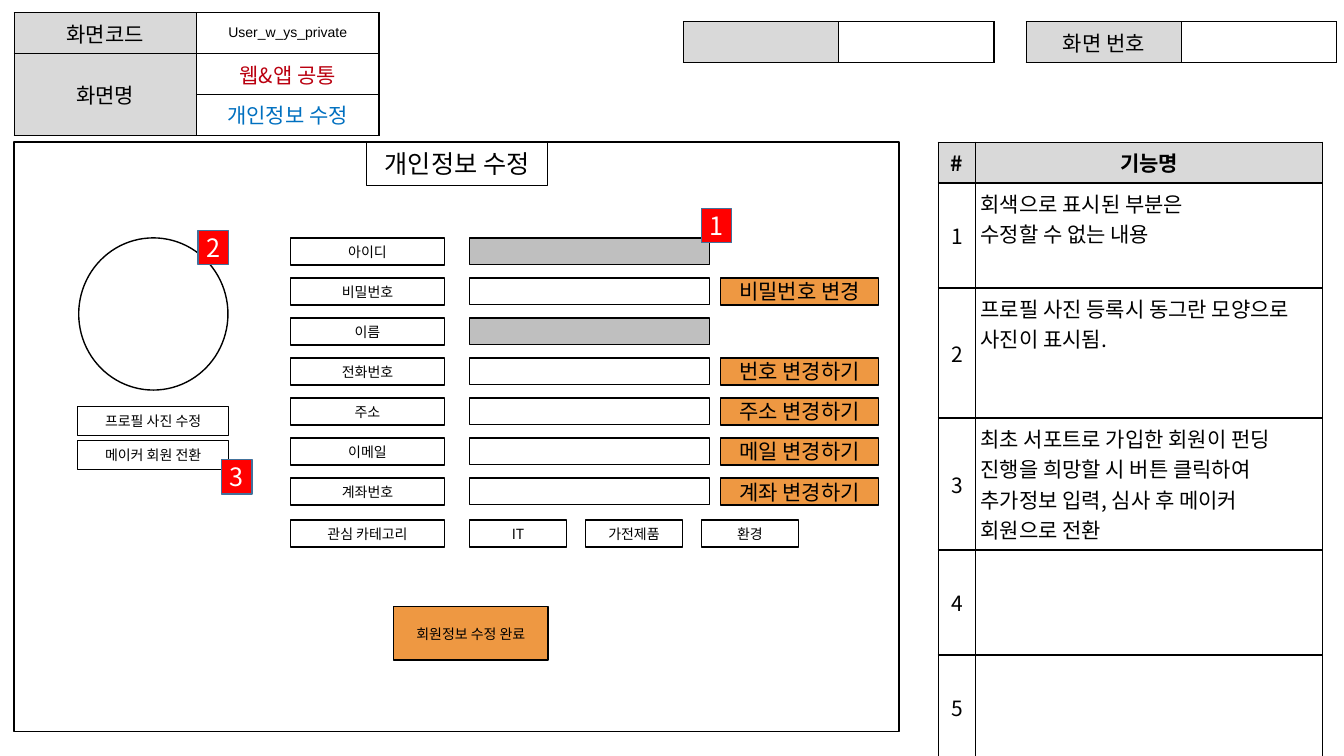
from dataclasses import dataclass

from lxml import etree
from pptx import Presentation
from pptx import util as u
from pptx.dml import color
from pptx.enum import shapes, text
from pptx.oxml import ns
from pptx.shapes import autoshape, base
from pptx.slide import Slide
from pptx.table import _Cell as Cell
from pptx.text import text as words


@dataclass(frozen=True)
class Theme:
    font: str = "Noto Sans CJK KR"
    code_font: str = "Arial"
    black: str = "000000"
    white: str = "FFFFFF"
    head: str = "D9D9D9"
    locked: str = "BFBFBF"
    action: str = "EE9842"
    badge: str = "FF0000"
    badge_line: str = "42719B"
    scope: str = "BA0010"
    screen: str = "0070C0"
    small: float = 10
    normal: float = 15
    large: float = 18
    inset: float = 3.6


THEME = Theme()


@dataclass(frozen=True)
class Box:
    left: float
    top: float
    width: float
    height: float
    label: str = ""
    fill: str | None = THEME.white
    size: float = THEME.small
    ink: str = THEME.black
    line: str = THEME.black
    line_width: float = 1
    kind: shapes.MSO_SHAPE = shapes.MSO_SHAPE.RECTANGLE


@dataclass(frozen=True)
class Entry:
    label: str = ""
    fill: str = THEME.white
    ink: str = THEME.black
    size: float = THEME.normal
    font: str = THEME.font
    bold: bool = False
    centred: bool = True
    inset: float = THEME.inset


@dataclass(frozen=True)
class Grid:
    left: float
    top: float
    widths: list[float]
    heights: list[float]
    rows: list[list[Entry]]


@dataclass(frozen=True)
class Field:
    label: str
    action: str = ""
    locked: bool = False


def write(frame: words.TextFrame, label: str, *, size: float, ink: str,
          font: str = THEME.font, bold: bool = False, centred: bool = True) -> None:
    frame.text = label
    for para in frame.paragraphs:
        para.alignment = text.PP_ALIGN.CENTER if centred else text.PP_ALIGN.LEFT
        for span in para.runs:
            span.font.name = font
            span.font.size = u.Pt(size)
            span.font.bold = bold
            span.font.color.rgb = color.RGBColor.from_string(ink)
            east = etree.SubElement(span.font._element, ns.qn("a:ea"))
            east.set("typeface", font)


def style_box(shape: autoshape.Shape, box: Box) -> None:
    shape.left, shape.top = u.Pt(box.left), u.Pt(box.top)
    shape.width, shape.height = u.Pt(box.width), u.Pt(box.height)
    shape.shadow.inherit = False
    if box.fill:
        shape.fill.solid()
        shape.fill.fore_color.rgb = color.RGBColor.from_string(box.fill)
    else:
        shape.fill.background()
    shape.line.color.rgb = color.RGBColor.from_string(box.line)
    shape.line.width = u.Pt(box.line_width)
    if box.label:
        frame = shape.text_frame
        frame.word_wrap = True
        frame.auto_size = text.MSO_AUTO_SIZE.NONE
        frame.vertical_anchor = text.MSO_ANCHOR.MIDDLE
        frame.margin_left = frame.margin_right = u.Pt(THEME.inset)
        frame.margin_top = frame.margin_bottom = u.Pt(0)
        write(frame, box.label, size=box.size, ink=box.ink)


def draw_box(page: Slide, box: Box) -> base.BaseShape:
    shape = page.shapes.add_shape(box.kind, u.Pt(box.left), u.Pt(box.top),
                                  u.Pt(box.width), u.Pt(box.height))
    style_box(shape, box)
    return shape


def border_cell(cell: Cell) -> None:
    properties = cell._tc.get_or_add_tcPr()
    for index, side in enumerate(("lnL", "lnR", "lnT", "lnB")):
        line = etree.Element(ns.qn(f"a:{side}"), w=str(u.Pt(1)))
        fill = etree.SubElement(line, ns.qn("a:solidFill"))
        etree.SubElement(fill, ns.qn("a:srgbClr"), val=THEME.black)
        properties.insert(index, line)


def fill_cell(cell: Cell, entry: Entry) -> None:
    inset = u.Pt(entry.inset if entry.label else 0)
    cell.margin_left = cell.margin_right = inset
    cell.margin_top = cell.margin_bottom = inset
    cell.vertical_anchor = (text.MSO_ANCHOR.MIDDLE if entry.centred
                            else text.MSO_ANCHOR.TOP)
    cell.fill.solid()
    cell.fill.fore_color.rgb = color.RGBColor.from_string(entry.fill)
    border_cell(cell)
    write(cell.text_frame, entry.label, size=entry.size, ink=entry.ink,
          font=entry.font, bold=entry.bold, centred=entry.centred)


def draw_grid(page: Slide, grid: Grid) -> base.BaseShape:
    holder = page.shapes.add_table(
        len(grid.heights), len(grid.widths), u.Pt(grid.left), u.Pt(grid.top),
        u.Pt(sum(grid.widths)), u.Pt(sum(grid.heights)))
    table = holder.table
    table.first_row = table.horz_banding = False
    for column, width in zip(table.columns, grid.widths):
        column.width = u.Pt(width)
    for row, height, entries in zip(table.rows, grid.heights, grid.rows):
        row.height = u.Pt(height)
        for cell, entry in zip(row.cells, entries):
            fill_cell(cell, entry)
    return holder


def draw_tables(page: Slide) -> None:
    # Screen code and name
    row = 29.2
    screen = draw_grid(page, Grid(10.1, 9, [130.3] * 2, [row] * 3, [
        [Entry("화면코드", THEME.head),
         Entry("User_w_ys_private", size=THEME.small, font=THEME.code_font, inset=0.7)],
        [Entry("화면명", THEME.head), Entry("웹&앱 공통", ink=THEME.scope)],
        [Entry(fill=THEME.head), Entry("개인정보 수정", ink=THEME.screen)]]))
    screen.table.cell(1, 0).merge(screen.table.cell(2, 0))

    # Page references
    for left, label in ((733, "화면 번호"), (488.2, "")):
        draw_grid(page, Grid(left, 15.5, [110.9] * 2, [row],
                             [[Entry(label, THEME.head), Entry()]]))

    # Function list
    notes = ["회색으로 표시된 부분은\n수정할 수 없는 내용",
             "프로필 사진 등록시 동그란 모양으로 사진이 표시됨.",
             "최초 서포트로 가입한 회원이 펀딩 진행을 희망할 시 버튼 클릭하여 "
             "추가정보 입력, 심사 후 메이커 회원으로 전환", "", ""]
    header = [Entry(label, THEME.head, bold=True) for label in ("#", "기능명")]
    rows = [[Entry(str(number)), Entry(note, centred=False)]
            for number, note in enumerate(notes, 1)]
    draw_grid(page, Grid(670.1, 101.5, [26.8, 248], [row, 75, 92.9, 94.3, 75, 75],
                         [header, *rows]))


def draw_form(page: Slide) -> None:
    # Screen frame and title
    panel = draw_box(page, Box(10.1, 101.5, 632.2, 421.2))
    title = page.shapes.title
    style_box(title, Box(262.1, 101.2, 128.9, 31, "개인정보 수정", None,
                         THEME.large, line_width=0.75))
    panel.element.addnext(title.element)

    # Profile
    draw_box(page, Box(56.2, 169.9, 106.6, 108.7, kind=shapes.MSO_SHAPE.OVAL))
    for top, label in ((290.2, "프로필 사진 수정"), (314.6, "메이커 회원 전환")):
        draw_box(page, Box(55.4, top, 108, 20.9, label, None, line_width=0.75))

    # Member fields
    label_left, value_left, height = 207.4, 335.5, 19.4
    fields = [Field("아이디", locked=True), Field("비밀번호", "비밀번호 변경"),
              Field("이름", locked=True), Field("전화번호", "번호 변경하기"),
              Field("주소", "주소 변경하기"), Field("이메일", "메일 변경하기"),
              Field("계좌번호", "계좌 변경하기")]
    for index, field in enumerate(fields):
        top = 169.9 + 28.6 * index
        draw_box(page, Box(label_left, top, 110.2, height, field.label))
        draw_box(page, Box(value_left, top, 171.4, 18.9,
                           fill=THEME.locked if field.locked else THEME.white))
        if field.action:
            draw_box(page, Box(514.8, top, 112.7, height, field.action,
                               THEME.action, THEME.normal))

    # Interest categories and submit button
    draw_box(page, Box(label_left, 371.5, 110.2, height, "관심 카테고리"))
    for index, label in enumerate(("IT", "가전제품", "환경")):
        draw_box(page, Box(value_left + 82.8 * index, 371.5, 69.1, height, label))
    draw_box(page, Box(281.2, 433.4, 110.2, 38.2, "회원정보 수정 완료", THEME.action))

    # Numbered badges
    for number, (left, top) in enumerate(((501.1, 149), (141.5, 164.5), (158.4, 328.3)), 1):
        draw_box(page, Box(left, top, 21.6, 24.5, str(number), THEME.badge,
                           THEME.large, THEME.white, THEME.badge_line))


def main() -> None:
    deck = Presentation()
    deck.slide_width, deck.slide_height = u.Pt(960), u.Pt(540)
    page = deck.slides.add_slide(deck.slide_layouts.get_by_name("Title Only"))
    draw_tables(page)
    draw_form(page)
    deck.save("out.pptx")


if __name__ == "__main__":
    main()
